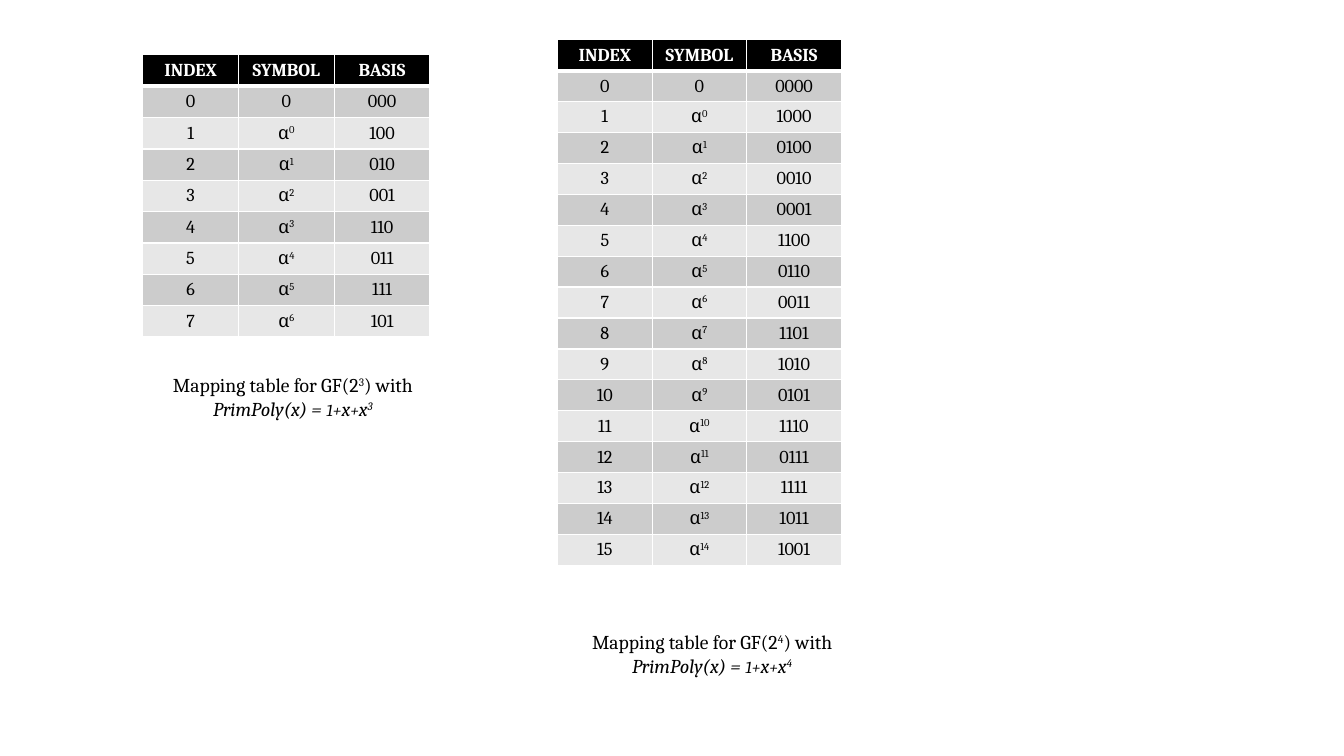
from collections.abc import Iterator
from dataclasses import dataclass

from lxml import etree
from pptx import Presentation
from pptx.dml.color import RGBColor
from pptx.enum.text import MSO_ANCHOR, PP_ALIGN
from pptx.oxml.ns import qn
from pptx.slide import Slide
from pptx.table import _Cell
from pptx.text.text import _Paragraph
from pptx.util import Pt

CENTER = PP_ALIGN.CENTER
MIDDLE = MSO_ANCHOR.MIDDLE
BLANK_LAYOUT = 6
HEADINGS = ("INDEX", "SYMBOL", "BASIS")


@dataclass(frozen=True)
class Theme:
    font: str = "Cambria"
    black: str = "000000"
    white: str = "FFFFFF"
    odd_row: str = "CCCCCC"
    even_row: str = "E7E7E7"
    table_size: float = 13
    caption_size: float = 14
    digit_size: float = 12
    rule: float = 1
    header_rule: float = 3
    cell_margin: float = 3


THEME = Theme()


@dataclass(frozen=True)
class Span:
    text: str
    size: float
    color: str = THEME.black
    bold: bool = False
    italic: bool = False
    raised: bool = False


@dataclass(frozen=True)
class FieldMapping:
    """The mapping table of GF(2^degree), with its caption; lengths in points."""
    degree: int
    left: float
    top: float
    column_width: float
    row_height: float
    caption_left: float
    caption_top: float
    caption_width: float = 241.2
    caption_height: float = 41.2


FIELDS = (
    FieldMapping(3, 101.9, 39.2, 68.4, 22.4, 88.6, 262.8),
    FieldMapping(4, 398.2, 28.4, 67.6, 22.1, 388.1, 446.4),
)


def basis_vectors(degree: int) -> Iterator[str]:
    """Yield zero, then each power of α, using α^degree = 1 + α."""
    yield "0" * degree
    bits = [1] + [0] * (degree - 1)
    for _ in range(2 ** degree - 1):
        yield "".join(map(str, bits))
        carry = bits[-1]
        bits = [carry] + bits[:-1]
        bits[1] ^= carry


def write_spans(paragraph: _Paragraph, spans: list[Span]) -> None:
    paragraph.alignment = CENTER
    for span in spans:
        run = paragraph.add_run()
        run.text = span.text
        run.font.name = THEME.font
        run.font.size = Pt(span.size)
        run.font.bold = span.bold
        run.font.italic = span.italic
        run.font.color.rgb = RGBColor.from_string(span.color)
        if span.raised:
            run._r.get_or_add_rPr().set("baseline", "30000")


def rule_cell(cell: _Cell, top: float, bottom: float) -> None:
    """Draw white borders, placed ahead of the cell's fill as the schema asks."""
    properties = cell._tc.get_or_add_tcPr()
    widths = {"a:lnL": THEME.rule, "a:lnR": THEME.rule, "a:lnT": top, "a:lnB": bottom}
    for position, (tag, width) in enumerate(widths.items()):
        line = etree.Element(qn(tag), w=str(Pt(width)))
        fill = etree.SubElement(line, qn("a:solidFill"))
        etree.SubElement(fill, qn("a:srgbClr"), val=THEME.white)
        properties.insert(position, line)


def fill_cell(cell: _Cell, spans: list[Span], row: int) -> None:
    shade = THEME.black if row == 0 else THEME.odd_row if row % 2 else THEME.even_row
    cell.fill.solid()
    cell.fill.fore_color.rgb = RGBColor.from_string(shade)
    cell.vertical_anchor = MIDDLE
    cell.margin_top = cell.margin_bottom = Pt(THEME.cell_margin)
    write_spans(cell.text_frame.paragraphs[0], spans)
    rule_cell(
        cell,
        top=THEME.header_rule if row == 1 else THEME.rule,
        bottom=THEME.header_rule if row == 0 else THEME.rule,
    )


def mapping_rows(degree: int) -> list[list[list[Span]]]:
    size = THEME.table_size
    rows = [[[Span(heading, size, THEME.white, bold=True)] for heading in HEADINGS]]
    for index, basis in enumerate(basis_vectors(degree)):
        symbol = [Span("0", size)]
        if index:
            symbol = [Span("α", size), Span(str(index - 1), size, raised=True)]
        rows.append([[Span(str(index), size)], symbol, [Span(basis, size)]])
    return rows


def add_mapping_table(slide: Slide, field: FieldMapping) -> None:
    rows = mapping_rows(field.degree)
    table = slide.shapes.add_table(
        len(rows), len(HEADINGS), Pt(field.left), Pt(field.top),
        Pt(field.column_width * len(HEADINGS)), Pt(field.row_height * len(rows)),
    ).table
    for column in table.columns:
        column.width = Pt(field.column_width)
    for row, entries in enumerate(rows):
        table.rows[row].height = Pt(field.row_height)
        for column, spans in enumerate(entries):
            fill_cell(table.cell(row, column), spans, row)


def add_caption(slide: Slide, field: FieldMapping) -> None:
    size, small = THEME.caption_size, THEME.digit_size
    degree = str(field.degree)
    frame = slide.shapes.add_textbox(
        Pt(field.caption_left), Pt(field.caption_top),
        Pt(field.caption_width), Pt(field.caption_height),
    ).text_frame
    frame.word_wrap = True
    write_spans(frame.paragraphs[0], [
        Span("Mapping table for GF(2", size),
        Span(degree, size, raised=True),
        Span(") with ", size),
        Span("PrimPoly(x) = ", size, italic=True),
        Span("1+", small, italic=True),
        Span("x", size, italic=True),
        Span("+", small, italic=True),
        Span("x", size, italic=True),
        Span(degree, size, italic=True, raised=True),
    ])


def main() -> None:
    presentation = Presentation()
    presentation.slide_width = Pt(960)
    presentation.slide_height = Pt(540)
    slide = presentation.slides.add_slide(presentation.slide_layouts[BLANK_LAYOUT])
    for field in FIELDS:
        add_mapping_table(slide, field)
        add_caption(slide, field)
    presentation.save("out.pptx")


if __name__ == "__main__":
    main()
